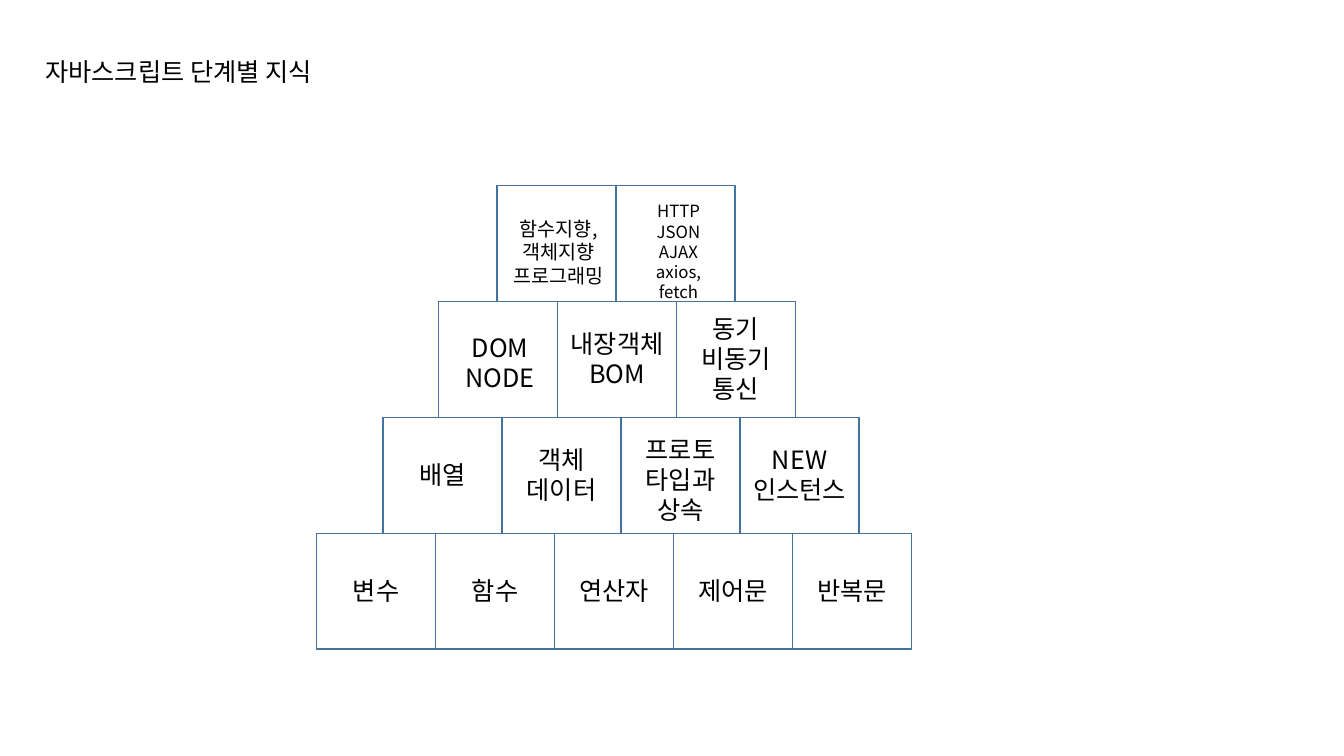
from dataclasses import dataclass

from lxml import etree
from pptx import Presentation
from pptx.dml.color import RGBColor
from pptx.enum import shapes, text
from pptx.oxml.ns import qn
from pptx.util import Inches, Pt


@dataclass(frozen=True)
class Theme:
    font: str = "Noto Sans CJK KR"
    ink: RGBColor = RGBColor(0x00, 0x00, 0x00)
    outline: RGBColor = RGBColor(0x43, 0x73, 0x9E)
    body: int = 18
    small: int = 14
    tiny: int = 12


theme = Theme()


def write_text(box, lines, size, align):
    frame = box.text_frame
    frame.text = "\n".join(lines)
    frame.word_wrap = False
    frame.auto_size = text.MSO_AUTO_SIZE.SHAPE_TO_FIT_TEXT
    frame.vertical_anchor = text.MSO_ANCHOR.TOP
    for para in frame.paragraphs:
        para.alignment = align
        para.line_spacing = 1.0
        para.space_before = Pt(0)
        for span in para.runs:
            span.font.size = Pt(size)
            span.font.color.rgb = theme.ink
            span.font.name = theme.font
            east_asian = etree.SubElement(span.font._element, qn("a:ea"))
            east_asian.set("typeface", theme.font)


deck = Presentation()
deck.slide_width = Inches(13.33)
deck.slide_height = Inches(7.5)
page = deck.slides.add_slide(deck.slide_layouts[5])

title = page.shapes.title
title.left, title.top = Inches(0.35), Inches(0.51)
title.width, title.height = Inches(3.16), Inches(0.4)
write_text(title, ["자바스크립트 단계별 지식"], theme.body, text.PP_ALIGN.LEFT)

BLOCK_WIDTH, BLOCK_HEIGHT = 1.18, 1.15
PYRAMID_TOP = 1.84

# Each level: left edge, then blocks of (lines, type size, label width, shift right, shift down)
levels = [
    (4.93, [
        (["함수지향,", "객체지향", "프로그래밍"], theme.small, 1.18, 0.02, 0.09),
        (["HTTP", "JSON", "AJAX", "axios, fetch"], theme.tiny, 1.06, 0.03, -0.01),
    ]),
    (4.35, [
        (["DOM", "NODE"], theme.body, 0.9, 0.02, 0.04),
        (["내장객체", "BOM"], theme.body, 1.21, 0, 0),
        (["동기", "비동기", "통신"], theme.body, 0.96, 0, 0),
    ]),
    (3.8, [
        (["배열"], theme.body, 0.71, 0, 0),
        (["객체", "데이터"], theme.body, 0.96, 0, 0),
        (["프로토", "타입과", "상속"], theme.body, 0.96, 0, 0.05),
        (["NEW", "인스턴스"], theme.body, 1.21, 0, 0),
    ]),
    (3.14, [
        (["변수"], theme.body, 0.71, 0, 0),
        (["함수"], theme.body, 0.71, 0, 0),
        (["연산자"], theme.body, 0.96, 0, 0),
        (["제어문"], theme.body, 0.96, 0, 0),
        (["반복문"], theme.body, 0.96, 0, 0),
    ]),
]

for row, (row_left, blocks) in enumerate(levels):
    top = PYRAMID_TOP + row * BLOCK_HEIGHT
    for column, (lines, size, width, shift_x, shift_y) in enumerate(blocks):
        left = row_left + column * BLOCK_WIDTH
        block = page.shapes.add_shape(
            shapes.MSO_SHAPE.RECTANGLE,
            Inches(left), Inches(top), Inches(BLOCK_WIDTH), Inches(BLOCK_HEIGHT))
        block.shadow.inherit = False
        block.fill.background()
        block.line.color.rgb = theme.outline
        block.line.width = Pt(1)

        height = 0.1 + len(lines) * size * 0.017
        label = page.shapes.add_textbox(
            Inches(left + (BLOCK_WIDTH - width) / 2 + shift_x),
            Inches(top + (BLOCK_HEIGHT - height) / 2 + shift_y),
            Inches(width), Inches(height))
        write_text(label, lines, size, text.PP_ALIGN.CENTER)
        # The smallest type wraps inside its block
        label.text_frame.word_wrap = size == theme.tiny

deck.save("out.pptx")
